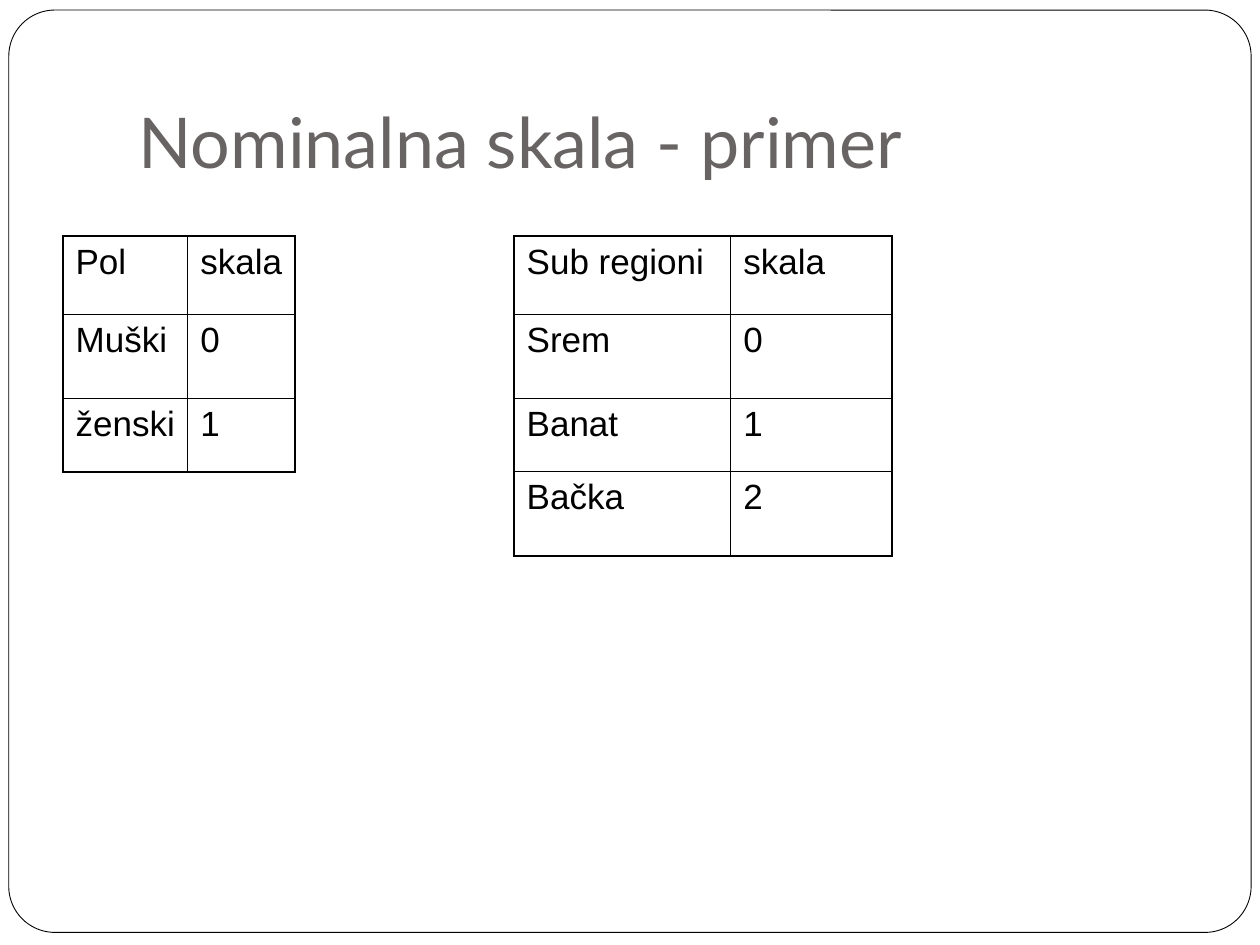
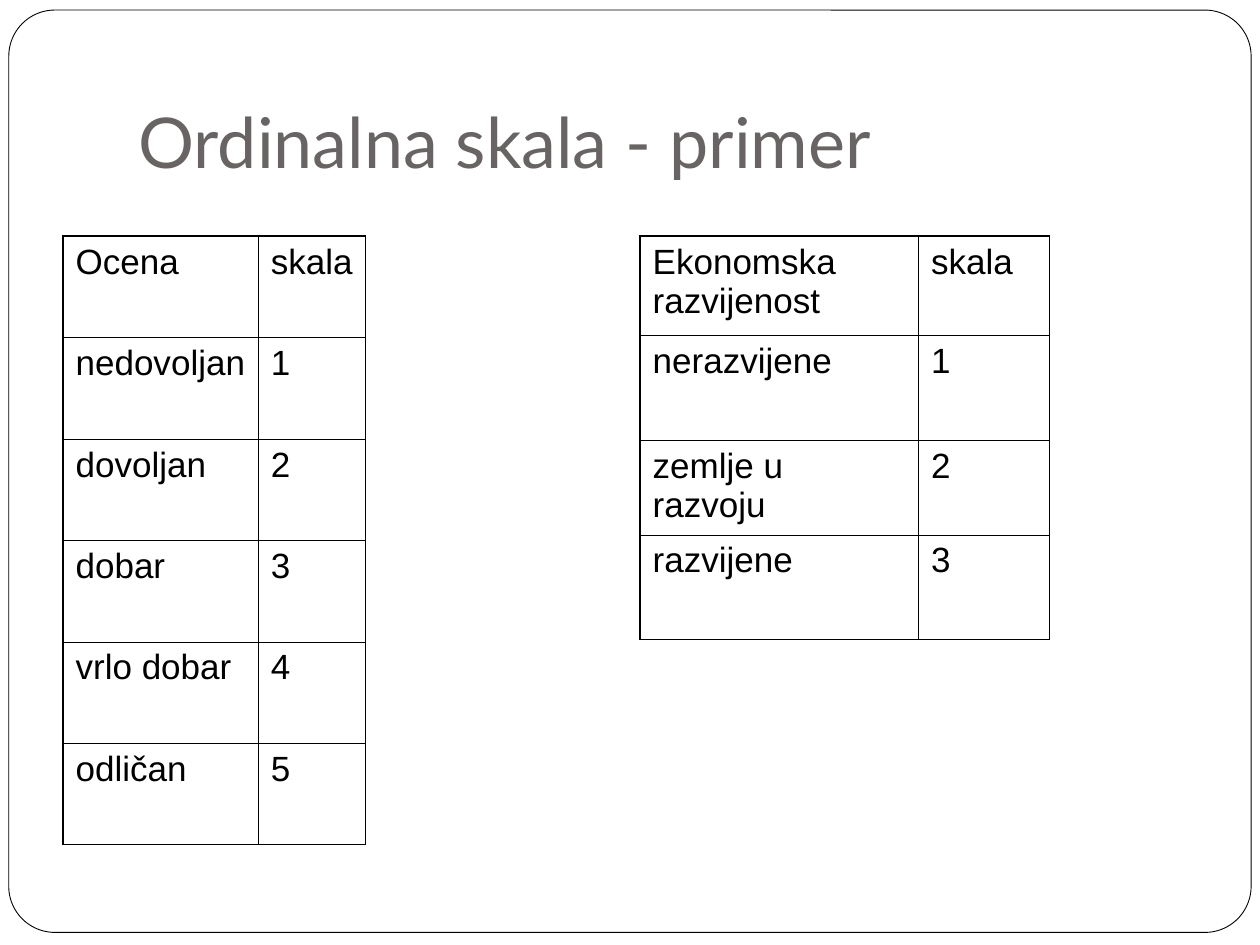
from dataclasses import dataclass

from lxml.etree import Element, SubElement
from pptx import Presentation
from pptx.dml.color import RGBColor
from pptx.enum.shapes import MSO_SHAPE as Preset
from pptx.enum.text import MSO_ANCHOR as Anchor, MSO_AUTO_SIZE as AutoSize, PP_ALIGN as Align
from pptx.oxml.ns import qn
from pptx.slide import Slide
from pptx.table import _Cell as Cell
from pptx.text.text import _Paragraph as Paragraph
from pptx.util import Inches, Pt

# A grid of 40 by 30 square units covers the slide.
SLIDE_WIDTH, SLIDE_HEIGHT = Inches(10), Inches(7.5)
GRID_COLUMNS, GRID_ROWS = 40, 30
TITLE_ONLY = 5

WHITE, BLACK, TITLE_GREY = "FFFFFF", "000000", "696464"
TITLE_FONT, TABLE_FONT = "Lato", "Arial"
OUTER_BORDER, INNER_BORDER = Pt(1.08), Pt(0.45)
TABLE_TOP = 7.5


@dataclass(frozen=True)
class Box:
    left: float
    top: float
    width: float
    height: float

    def lengths(self) -> tuple[int, int, int, int]:
        return (columns(self.left), rows(self.top),
                columns(self.width), rows(self.height))


@dataclass(frozen=True)
class ScaleTable:
    """A category column and its scale values, numbered from first_value."""
    heading: str
    categories: list[str]
    first_value: int
    left: float
    widths: list[float]
    heights: list[float]

    def lines(self) -> list[tuple[str, str]]:
        numbered = enumerate(self.categories, self.first_value)
        return [(self.heading, "skala")] + [(name, str(value)) for value, name in numbered]


@dataclass(frozen=True)
class ScaleSlide:
    title: str
    tables: list[ScaleTable]


FRAME_BOX = Box(0.28, 0.32, 39.44, 29.28)
TITLE_BOX = Box(4, 1.2, 34, 5)

SLIDES = [
    ScaleSlide("Nominalna skala - primer", [
        ScaleTable("Pol", ["Muški", "ženski"], 0, 2,
                   [3.96, 3.4], [2.48, 2.68, 2.32]),
        ScaleTable("Sub regioni", ["Srem", "Banat", "Bačka"], 0, 16.32,
                   [6.88, 5.12], [2.48, 2.68, 2.32, 2.68]),
    ]),
    ScaleSlide("Ordinalna skala - primer", [
        ScaleTable("Ocena", ["nedovoljan", "dovoljan", "dobar", "vrlo dobar", "odličan"], 1, 2,
                   [6.2, 3.4], [3.22] * 6),
        ScaleTable("Ekonomska razvijenost", ["nerazvijene", "zemlje u razvoju", "razvijene"],
                   1, 20.32, [8.84, 4.16], [3.16, 3.32, 3, 3.32]),
    ]),
]


def columns(count: float) -> int:
    return round(SLIDE_WIDTH * count / GRID_COLUMNS)


def rows(count: float) -> int:
    return round(SLIDE_HEIGHT * count / GRID_ROWS)


def color(hex_value: str) -> RGBColor:
    return RGBColor.from_string(hex_value)


def add_run(paragraph: Paragraph, text: str, font: str, size: float, hex_value: str) -> None:
    run = paragraph.add_run()
    run.text = text
    run.font.name = font
    run.font.size = Pt(size)
    run.font.color.rgb = color(hex_value)


def format_title(slide: Slide, text: str) -> None:
    title = slide.shapes.title
    title.left, title.top, title.width, title.height = TITLE_BOX.lengths()
    frame = title.text_frame
    frame.auto_size = AutoSize.NONE
    frame.word_wrap = True
    frame.vertical_anchor = Anchor.BOTTOM
    frame.margin_left = frame.margin_right = frame.margin_bottom = Inches(0.1)
    frame.margin_top = Inches(0.05)
    paragraph = frame.paragraphs[0]
    paragraph.alignment = Align.LEFT
    add_run(paragraph, text, TITLE_FONT, 40, TITLE_GREY)


def add_frame(slide: Slide) -> None:
    """Draw the rounded page frame behind the title."""
    frame = slide.shapes.add_shape(Preset.ROUNDED_RECTANGLE, *FRAME_BOX.lengths())
    frame.adjustments[0] = 0.05
    frame.shadow.inherit = False
    frame.fill.solid()
    frame.fill.fore_color.rgb = color(WHITE)
    frame.line.color.rgb = color(BLACK)
    frame.line.width = Pt(0.5)
    slide.shapes.title.element.addprevious(frame.element)


def set_borders(cell: Cell, outer_sides: dict[str, bool]) -> None:
    """Border each side, heavier where it lies on the table's edge."""
    properties = cell._tc.get_or_add_tcPr()
    for position, (side, is_outer) in enumerate(outer_sides.items()):
        width = OUTER_BORDER if is_outer else INNER_BORDER
        line = Element(qn(f"a:ln{side}"), w=str(width))
        fill = SubElement(line, qn("a:solidFill"))
        SubElement(fill, qn("a:srgbClr"), val=BLACK)
        properties.insert(position, line)


def add_scale_table(slide: Slide, scale: ScaleTable) -> None:
    lines = scale.lines()
    box = Box(scale.left, TABLE_TOP, sum(scale.widths), sum(scale.heights))
    last_row, last_column = len(lines) - 1, len(scale.widths) - 1
    table = slide.shapes.add_table(len(lines), len(scale.widths), *box.lengths()).table
    table.first_row = table.horz_banding = False
    for column, width in zip(table.columns, scale.widths):
        column.width = columns(width)
    for row, height in zip(table.rows, scale.heights):
        row.height = rows(height)
    for row_index, line in enumerate(lines):
        for column_index, text in enumerate(line):
            cell = table.cell(row_index, column_index)
            cell.fill.background()
            set_borders(cell, {"L": column_index == 0, "R": column_index == last_column,
                               "T": row_index == 0, "B": row_index == last_row})
            paragraph = cell.text_frame.paragraphs[0]
            paragraph.space_before = Pt(5)
            add_run(paragraph, text, TABLE_FONT, 20, BLACK)


def main() -> None:
    presentation = Presentation()
    presentation.slide_width, presentation.slide_height = SLIDE_WIDTH, SLIDE_HEIGHT
    for content in SLIDES:
        slide = presentation.slides.add_slide(presentation.slide_layouts[TITLE_ONLY])
        format_title(slide, content.title)
        add_frame(slide)
        for scale in content.tables:
            add_scale_table(slide, scale)
    presentation.save("out.pptx")


if __name__ == "__main__":
    main()
